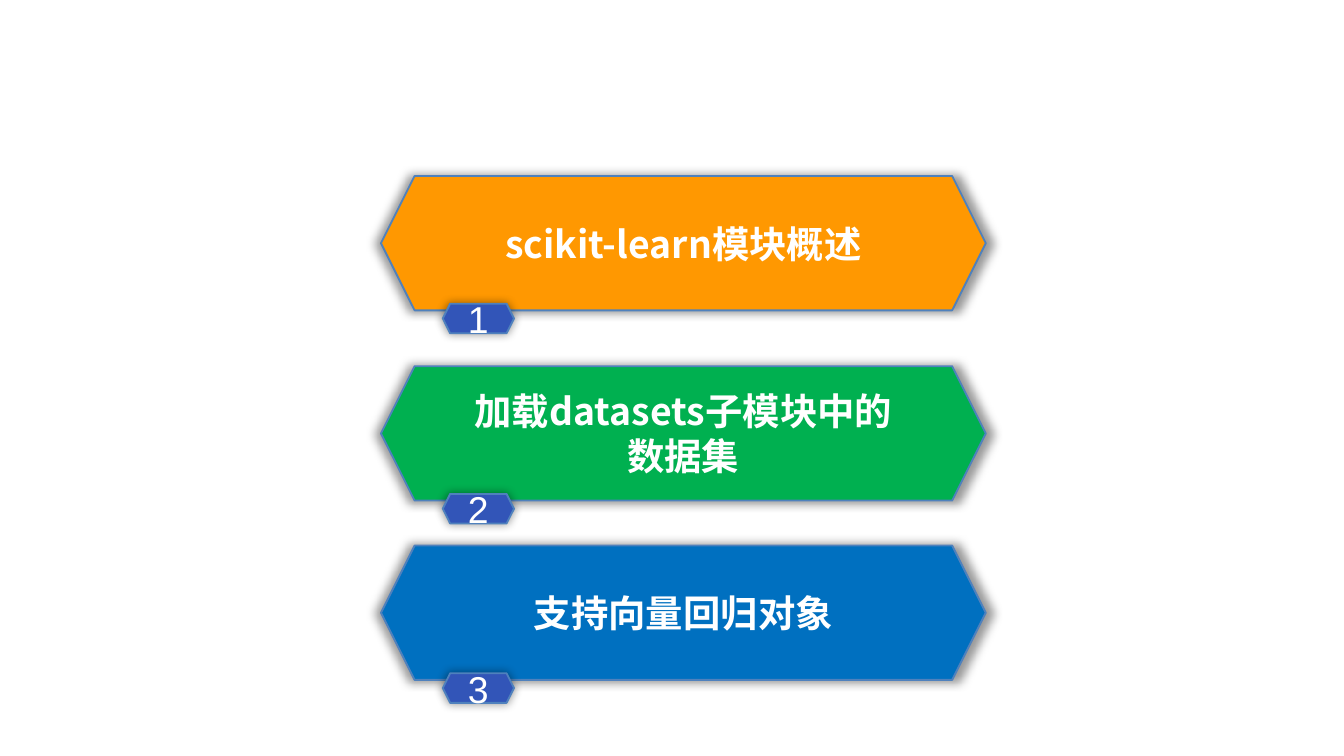
from lxml import etree
from pptx import Presentation
from pptx.dml.color import RGBColor
from pptx.enum.shapes import MSO_SHAPE
from pptx.enum.text import MSO_ANCHOR, PP_ALIGN
from pptx.oxml.ns import qn
from pptx.util import Pt

HEXAGON = MSO_SHAPE.HEXAGON
MIDDLE = MSO_ANCHOR.MIDDLE
CENTER = PP_ALIGN.CENTER

PX = 4572  # 200 px to the inch
BLANK_LAYOUT = 6
COLORS = {
    "orange": "FF9801",
    "green": "00B050",
    "blue": "0070C0",
    "badge": "3255B8",
    "outline": "4F81BD",
    "text": "FFFFFF",
    "shadow": "000000",
}
CHAPTERS = [
    (262, "orange", "scikit-learn模块概述"),
    (545, "green", "加载datasets子模块中的数据集"),
    (812, "blue", "支持向量回归对象"),
]


def color(name):
    return RGBColor.from_string(COLORS[name])


def write_text(box, text, font="Arial", size=20, bold=False, inset=0):
    frame = box.text_frame
    frame.word_wrap = True
    frame.vertical_anchor = MIDDLE
    frame.margin_left = frame.margin_right = inset * PX
    frame.margin_top = frame.margin_bottom = inset * PX // 2
    para = frame.paragraphs[0]
    para.alignment = CENTER
    span = para.add_run()
    span.text = text
    span.font.name = font
    span.font.size = Pt(size)
    span.font.bold = bold
    span.font.color.rgb = color("text")
    # Chinese glyphs take their font from the East Asian slot
    etree.SubElement(span.font._element, qn("a:ea"), typeface=font)


class Agenda:
    """Holds the style and the current slide."""

    heading_font = "Noto Sans CJK SC"
    shadow_blur = Pt(5)
    shadow_scale = 102000
    shadow_alpha = 40000

    def __init__(self, page):
        self.page = page

    def shadow(self, shape):
        shape.shadow.inherit = False
        effects = shape._element.spPr.find(qn("a:effectLst"))
        scale = str(self.shadow_scale)
        outer = etree.SubElement(effects, qn("a:outerShdw"),
                                 blurRad=str(self.shadow_blur), sx=scale,
                                 sy=scale, algn="ctr", rotWithShape="0")
        tint = etree.SubElement(outer, qn("a:srgbClr"), val=COLORS["shadow"])
        etree.SubElement(tint, qn("a:alpha"), val=str(self.shadow_alpha))

    def hexagon(self, group, left, top, width, height, fill):
        shape = group.shapes.add_shape(HEXAGON, left * PX, top * PX,
                                       width * PX, height * PX)
        shape.fill.solid()
        shape.fill.fore_color.rgb = color(fill)
        shape.line.color.rgb = color("outline")
        shape.line.width = Pt(1)
        self.shadow(shape)
        return shape

    def chapter(self, number, top, fill, title):
        group = self.page.shapes.add_group_shape()
        banner = self.hexagon(group, 567, top, 900, 200, fill)
        write_text(banner, title, font=self.heading_font, bold=True, inset=20)
        # The number badge overlaps the banner's lower edge
        badge = self.hexagon(group, 659, top + 190, 106, 44, "badge")
        write_text(badge, str(number))


def main():
    deck = Presentation()
    deck.slide_width = 2000 * PX
    deck.slide_height = 1125 * PX
    page = deck.slides.add_slide(deck.slide_layouts[BLANK_LAYOUT])

    # Numbered chapters
    agenda = Agenda(page)
    for number, (top, fill, title) in enumerate(CHAPTERS, start=1):
        agenda.chapter(number, top, fill, title)

    deck.save("out.pptx")


if __name__ == "__main__":
    main()
